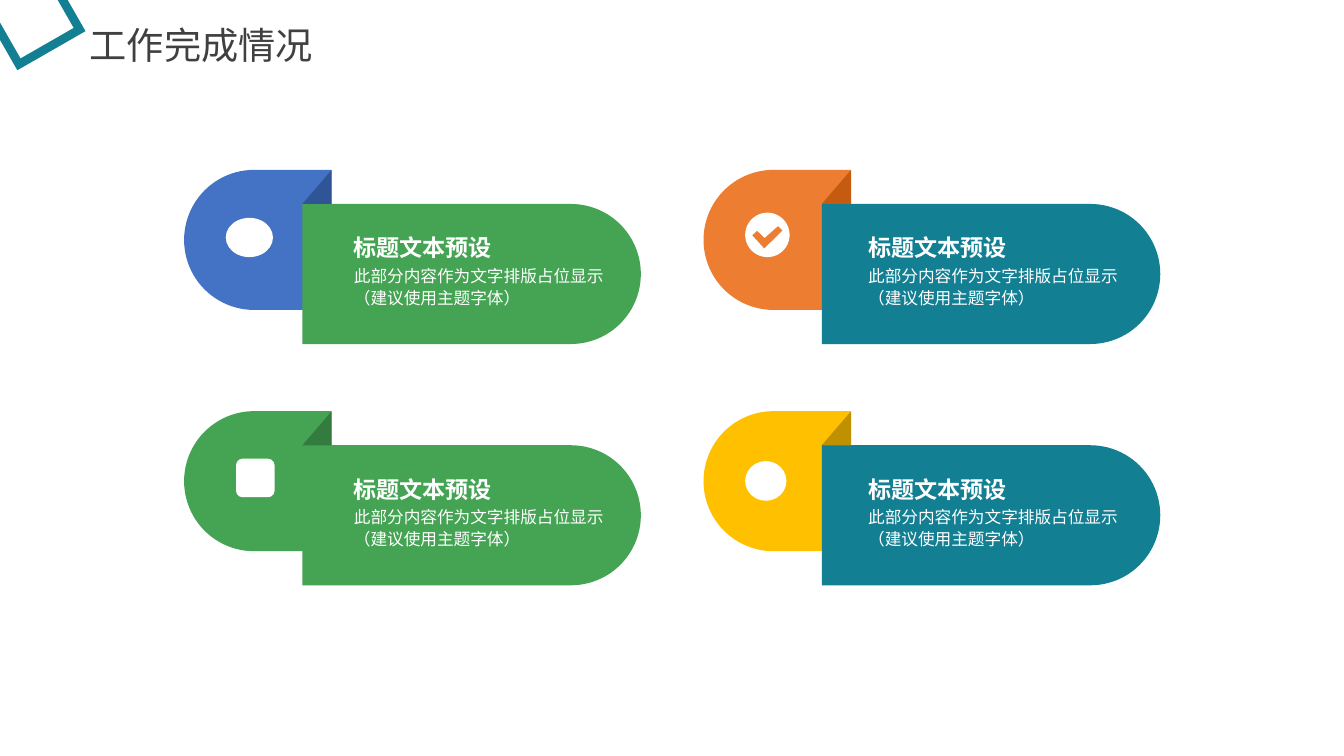
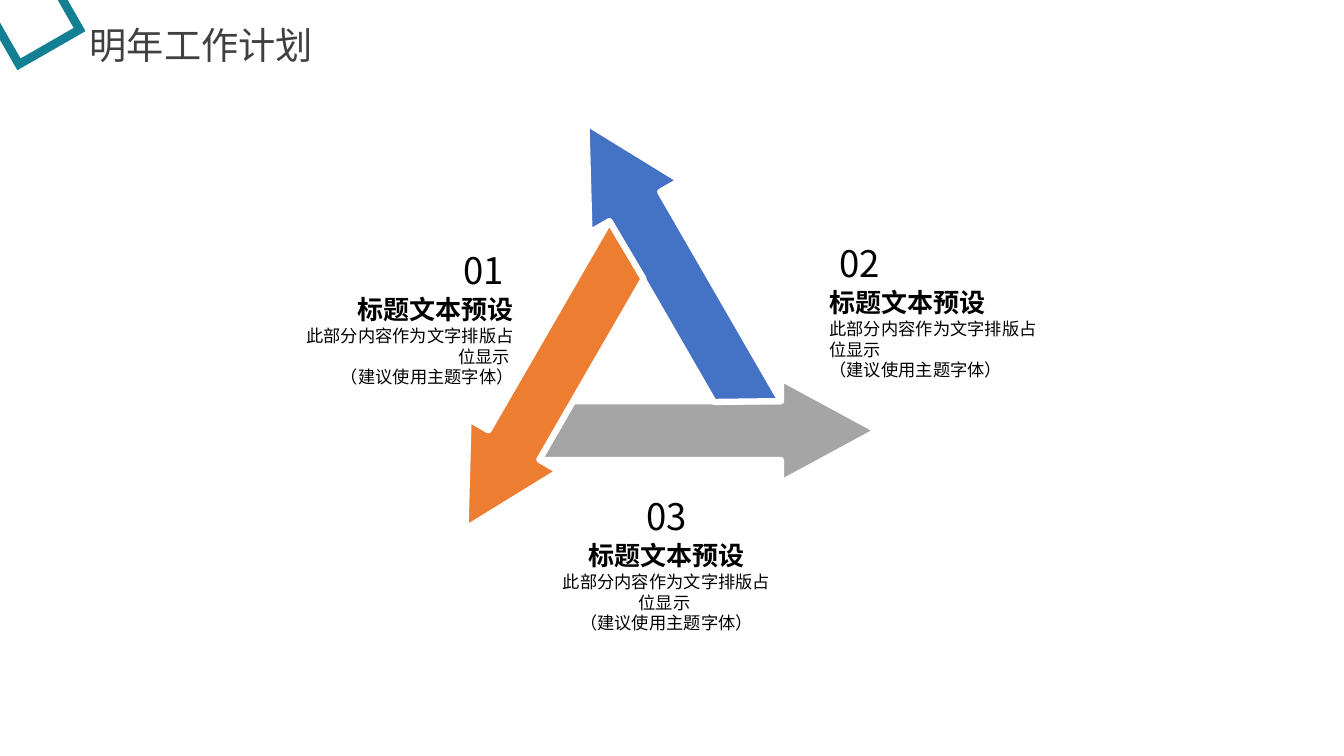
"""Build two work report slides: a grid of ribbon cards and a triangle of arrows."""
from dataclasses import dataclass
from math import cos, radians, sin

from lxml.etree import SubElement
from pptx import Presentation
from pptx.dml.color import RGBColor
from pptx.enum.shapes import MSO_SHAPE
from pptx.enum.text import MSO_ANCHOR, PP_ALIGN
from pptx.oxml.ns import qn
from pptx.util import Cm, Pt

ROUND_END = MSO_SHAPE.ROUND_2_SAME_RECTANGLE
ROUNDED = MSO_SHAPE.ROUNDED_RECTANGLE
TRIANGLE = MSO_SHAPE.RIGHT_TRIANGLE
FRAME = MSO_SHAPE.FRAME
OVAL = MSO_SHAPE.OVAL
TOP, MIDDLE = MSO_ANCHOR.TOP, MSO_ANCHOR.MIDDLE
LEFT, CENTER, RIGHT = PP_ALIGN.LEFT, PP_ALIGN.CENTER, PP_ALIGN.RIGHT


@dataclass(frozen=True)
class Theme:
    """Colours, font and type sizes shared by the slides."""

    font: str = "Noto Sans CJK SC"
    white: str = "FFFFFF"
    black: str = "000000"
    heading: str = "404040"
    teal: str = "127F93"
    green: str = "45A454"
    dark_green: str = "347B3F"
    blue: str = "4472C4"
    dark_blue: str = "2F5597"
    orange: str = "ED7D31"
    dark_orange: str = "C55A11"
    gold: str = "FFC000"
    dark_gold: str = "BF9000"
    gray: str = "A5A5A5"
    heading_size: float = 26.6
    card_title_size: float = 16.5
    card_body_size: float = 11.9
    number_size: float = 26.1
    caption_title_size: float = 18.6
    caption_body_size: float = 12.3
    arrow_outline: float = 4.5


THEME = Theme()

ITEM_TITLE = "标题文本预设"
CARD_BODY = ("此部分内容作为文字排版占位显示", "（建议使用主题字体）")
CAPTION_BODY = ("此部分内容作为文字排版占位显示 ", "（建议使用主题字体）")

GRID_LEFT, GRID_TOP = 4.64, 4.28
COLUMN_STEP, ROW_STEP = 13.09, 6.08
COLUMNS = ((THEME.green, 4.03), (THEME.teal, 3.9))
CARDS = (
    (0, 0, THEME.blue, THEME.dark_blue, OVAL, (1.05, 1.21, 1.19, 0.99)),
    (1, 0, THEME.orange, THEME.dark_orange, OVAL, (1.05, 1.08, 1.12, 1.12)),
    (0, 1, THEME.green, THEME.dark_green, ROUNDED, (1.31, 1.2, 0.97, 0.97)),
    (1, 1, THEME.gold, THEME.dark_gold, OVAL, (1.05, 1.26, 1.04, 1)),
)
CHECKED_CARD = (1, 0)
CHECK_MARK = ((0.18, 0.57), (0.3, 0.46), (0.49, 0.64),
              (0.83, 0.34), (0.94, 0.45), (0.48, 0.9))

ARROW = ((5.91, 1.76), (3.47, 0.44), (3.47, 1.02), (-1.79, 1.02),
         (-2.62, 2.5), (3.47, 2.5), (3.47, 3.08))
ARROW_TURNS = ((0, THEME.gray), (-120, THEME.blue), (120, THEME.orange))
ARROWS_CENTER = (16.21, 9.09)
CAPTIONS = (
    ("01", 7.29, 6.2, RIGHT),
    ("02", 20.9, 6.02, LEFT),
    ("03", 13.97, 12.4, CENTER),
)


def rgb(color):
    """Turn a hex string into a colour."""
    return RGBColor.from_string(color)


def paint(shape, fill, outline=None):
    """Give a shape a flat fill and an optional white outline."""
    shape.shadow.inherit = False
    shape.fill.solid()
    shape.fill.fore_color.rgb = rgb(fill)
    if outline:
        shape.line.color.rgb = rgb(THEME.white)
        shape.line.width = Pt(outline)
    else:
        shape.line.fill.background()


def add_preset(slide, kind, box, fill, rotation=0, adjustments=()):
    """Add a preset shape; a quarter turn still fills the given box."""
    left, top, width, height = box
    if rotation in (90, 270):
        left, top = left + (width - height) / 2, top + (height - width) / 2
        width, height = height, width
    shape = slide.shapes.add_shape(kind, Cm(left), Cm(top), Cm(width), Cm(height))
    shape.rotation = rotation
    for index, value in enumerate(adjustments):
        shape.adjustments[index] = value
    paint(shape, fill)


def add_polygon(slide, origin, points, fill, outline=None):
    """Add a closed outline whose points are relative to the origin."""
    start, *others = [(Cm(origin[0] + x), Cm(origin[1] + y)) for x, y in points]
    builder = slide.shapes.build_freeform(*start)
    builder.add_line_segments(others, close=True)
    paint(builder.convert_to_shape(), fill, outline)


def add_text(slide, box, lines, size, color, bold=False, align=LEFT,
             anchor=TOP, inset=(0.25, 0), spacing=1.0):
    """Add a text box with one paragraph of broken lines."""
    frame = slide.shapes.add_textbox(*(Cm(length) for length in box)).text_frame
    frame.word_wrap = True
    frame.vertical_anchor = anchor
    frame.margin_left = frame.margin_right = Cm(inset[0])
    frame.margin_top = frame.margin_bottom = Cm(inset[1])
    paragraph = frame.paragraphs[0]
    paragraph.alignment = align
    paragraph.line_spacing = spacing
    for index, line in enumerate(lines):
        if index:
            paragraph.add_line_break()
        run = paragraph.add_run()
        run.text = line
        font = run.font
        font.size, font.bold, font.name = Pt(size), bold, THEME.font
        font.color.rgb = rgb(color)
        SubElement(run._r.get_or_add_rPr(), qn("a:ea"), typeface=THEME.font)


def add_titled_slide(presentation, title):
    """Add a blank slide with the corner frame and the heading."""
    slide = presentation.slides.add_slide(presentation.slide_layouts[6])
    add_text(slide, (2.01, 0.43, 7.92, 1.4), (title,), THEME.heading_size,
             THEME.heading, inset=(0.25, 0.13))
    add_preset(slide, FRAME, (-0.23, -0.74, 1.98, 2.16), THEME.teal, 330.2, (0.11,))
    return slide


def add_card(slide, left, top, tab_color, fold_color, body_color, text_offset):
    """Draw a folded ribbon card with its text."""
    add_preset(slide, ROUND_END, (left, top, 3.71, 3.53), tab_color, 270, (0.5, 0))
    add_preset(slide, ROUND_END, (left + 2.98, top + 0.86, 8.53, 3.53),
               body_color, 90, (0.5, 0))
    add_preset(slide, TRIANGLE, (left + 2.98, top, 0.74, 0.86), fold_color, 270)
    text_left = left + text_offset
    add_text(slide, (text_left, top + 1.61, 6.02, 0.61), (ITEM_TITLE,),
             THEME.card_title_size, THEME.white, bold=True)
    add_text(slide, (text_left, top + 2.2, 6.88, 1.45), CARD_BODY,
             THEME.card_body_size, THEME.white, anchor=MIDDLE, spacing=1.1)


def add_caption(slide, left, top, number, align):
    """Draw a numbered caption stacked from its top left corner."""
    add_text(slide, (left, top, 5.66, 1.19), (number,), THEME.number_size,
             THEME.black, align=align, anchor=MIDDLE)
    add_text(slide, (left, top + 1.19, 5.66, 0.79), (ITEM_TITLE,),
             THEME.caption_title_size, THEME.black, bold=True, align=align,
             anchor=MIDDLE, inset=(0, 0))
    add_text(slide, (left, top + 1.98, 5.66, 1.6), CAPTION_BODY,
             THEME.caption_body_size, THEME.black, align=align,
             anchor=MIDDLE, inset=(0, 0))


def turn(points, degrees):
    """Rotate points clockwise about their origin."""
    cosine, sine = cos(radians(degrees)), sin(radians(degrees))
    return [(x * cosine - y * sine, x * sine + y * cosine) for x, y in points]


def build_progress_slide(presentation):
    """Build the two by two grid of cards."""
    slide = add_titled_slide(presentation, "工作完成情况")
    for column, row, tab_color, fold_color, icon, icon_box in CARDS:
        left, top = GRID_LEFT + column * COLUMN_STEP, GRID_TOP + row * ROW_STEP
        add_card(slide, left, top, tab_color, fold_color, *COLUMNS[column])
        x, y, width, height = icon_box
        add_preset(slide, icon, (left + x, top + y, width, height), THEME.white)
        if (column, row) == CHECKED_CARD:
            add_polygon(slide, (left + x, top + y), CHECK_MARK, tab_color)


def build_plan_slide(presentation):
    """Build the triangle of arrows and its captions."""
    slide = add_titled_slide(presentation, "明年工作计划")
    for degrees, color in ARROW_TURNS:
        add_polygon(slide, ARROWS_CENTER, turn(ARROW, degrees), color,
                    THEME.arrow_outline)
    for number, left, top, align in CAPTIONS:
        add_caption(slide, left, top, number, align)


def main():
    """Build and save the presentation."""
    presentation = Presentation()
    presentation.slide_width, presentation.slide_height = Cm(33.87), Cm(19.05)
    build_progress_slide(presentation)
    build_plan_slide(presentation)
    presentation.save("out.pptx")


if __name__ == "__main__":
    main()
